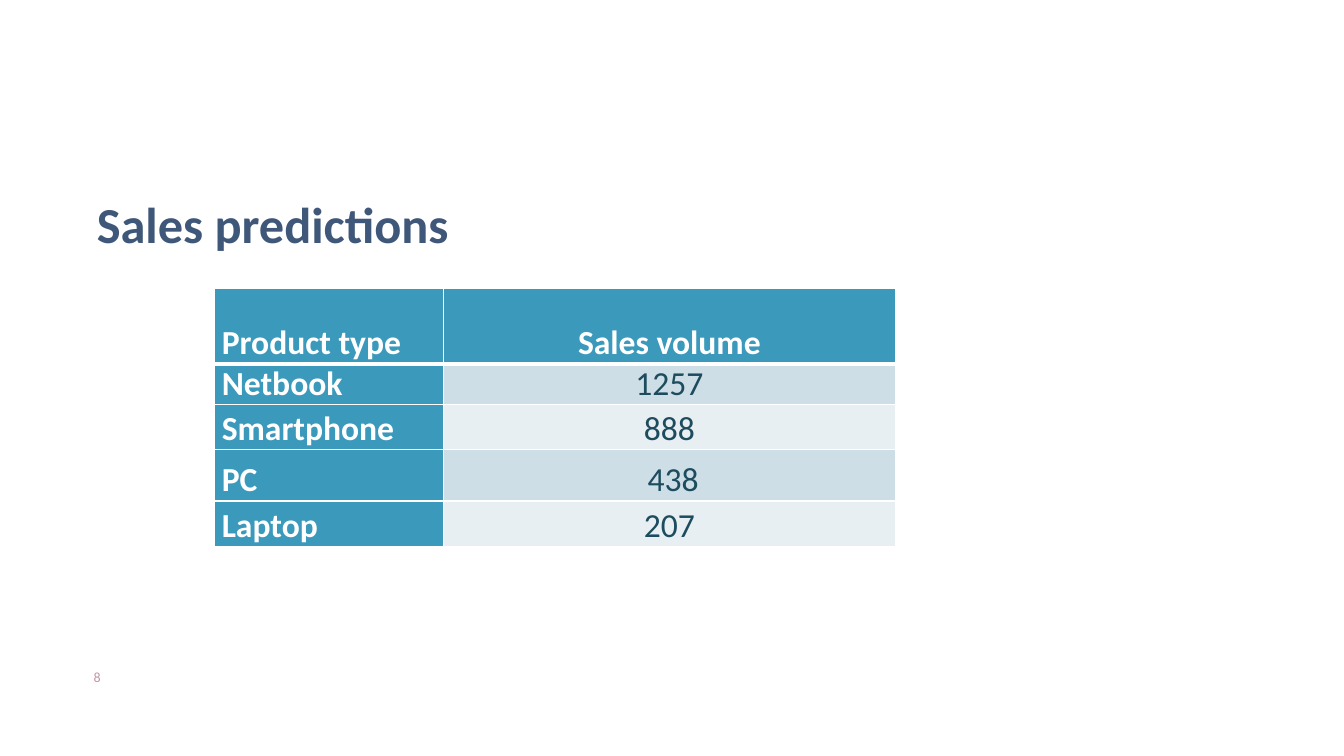
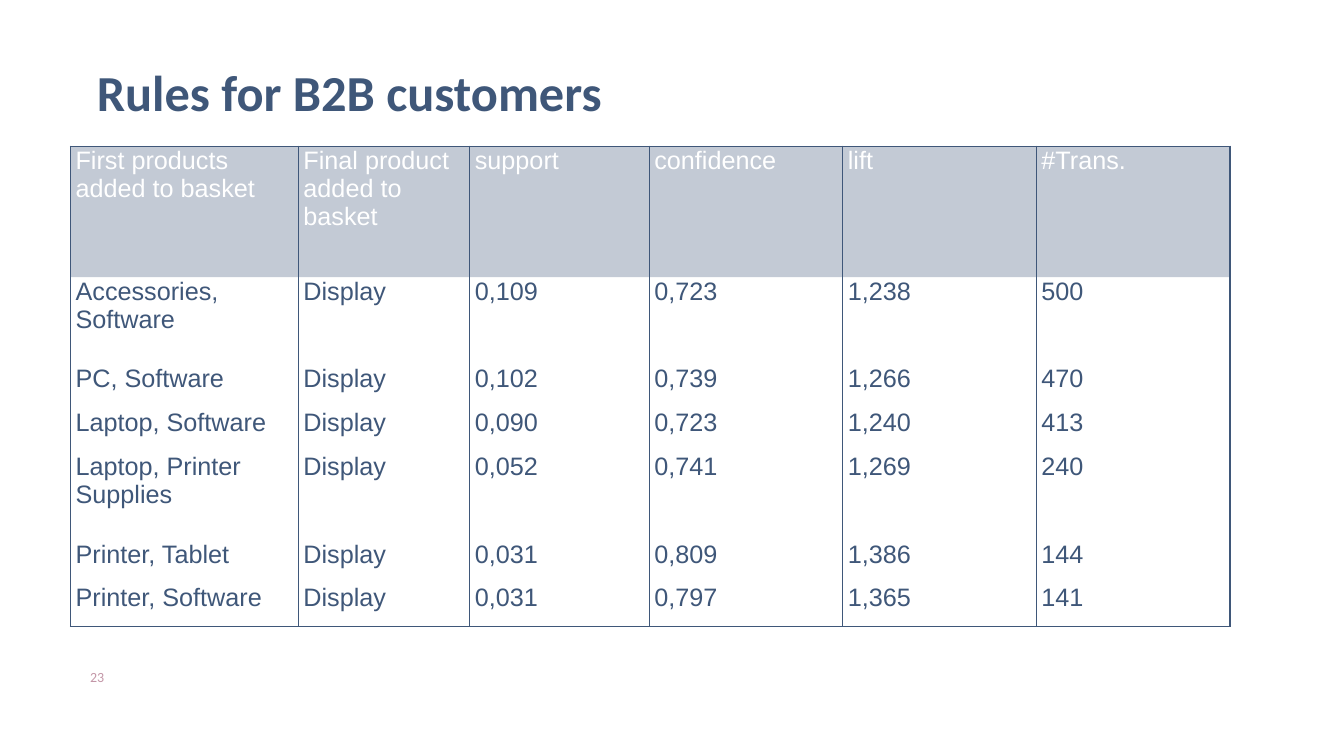
from collections.abc import Callable
from dataclasses import dataclass, field

from lxml.etree import SubElement
from pptx import Presentation
from pptx.dml.color import RGBColor
from pptx.enum.text import MSO_ANCHOR as Anchor, MSO_AUTO_SIZE as AutoSize, PP_ALIGN as Align
from pptx.oxml.ns import qn
from pptx.util import Emu, Pt

PX_PER_INCH = 100
NO_TABLE_STYLE = "{2D5ABB26-0587-4C30-8999-92F81FD0307C}"


@dataclass(frozen=True)
class Theme:
    navy: str = "3F5779"
    rose: str = "C396A7"
    teal: str = "3B99BB"
    dark_teal: str = "1D4C5E"
    bands: tuple[str, str] = ("CEDEE7", "E8EFF3")
    white: str = "FFFFFF"
    heading_font: str = "Calibri"
    table_font: str = "Arial"
    title_size: int = 36
    sales_size: int = 24
    rules_size: int = 18
    number_size: int = 10


THEME = Theme()


@dataclass(frozen=True)
class CellStyle:
    """Borders map L, R, T, B to a colour and a width in points."""
    color: str
    fill: str | None = None
    opacity: int = 100
    bold: bool = False
    align: Align = Align.LEFT
    borders: dict[str, tuple[str, int]] = field(default_factory=dict)


@dataclass(frozen=True)
class TableData:
    left: int
    top: int
    widths: list[int]
    heights: list[int]
    inset: int
    anchor: Anchor
    font: str
    size: int
    rows: list[list[str]]
    style: Callable[[int, int], CellStyle]


@dataclass(frozen=True)
class Page:
    title: str
    title_height: int
    number: str
    table: TableData


def px(length: int) -> Emu:
    return Emu(length * 914400 // PX_PER_INCH)


def place(shape, left: int, top: int, width: int, height: int) -> None:
    shape.left, shape.top, shape.width, shape.height = map(px, (left, top, width, height))


def set_font(para, name: str, size: int, color: str, bold: bool = False) -> None:
    para.font.name = name
    para.font.size = Pt(size)
    para.font.bold = bold
    para.font.color.rgb = RGBColor.from_string(color)


def set_margins(target, left: int, right: int = 0) -> None:
    target.margin_left, target.margin_right = px(left), px(right)
    target.margin_top = target.margin_bottom = 0


def sales_style(row: int, column: int) -> CellStyle:
    thin = (THEME.white, 1)
    borders = dict.fromkeys("LRTB", thin)
    if row == 0:
        borders["B"] = (THEME.white, 3)
    elif row == 1:
        borders["T"] = (THEME.white, 3)
    align = Align.CENTER if column else Align.LEFT
    if row == 0 or column == 0:
        return CellStyle(THEME.white, THEME.teal, bold=True, align=align, borders=borders)
    return CellStyle(THEME.dark_teal, THEME.bands[(row - 1) % 2], align=align, borders=borders)


def rules_style(row: int, column: int) -> CellStyle:
    line = (THEME.navy, 1)
    if row == 0:
        return CellStyle(THEME.white, THEME.navy, opacity=31, borders=dict.fromkeys("LRT", line))
    sides = "LRB" if row == len(RULES) - 1 else "LR"
    return CellStyle(THEME.navy, borders=dict.fromkeys(sides, line))


def set_borders(cell, borders: dict[str, tuple[str, int]]) -> None:
    properties = cell._tc.get_or_add_tcPr()
    for side, (color, width) in borders.items():
        line = SubElement(properties, qn(f"a:ln{side}"), w=str(Pt(width)))
        solid = SubElement(line, qn("a:solidFill"))
        SubElement(solid, qn("a:srgbClr"), val=color)


def set_fill(cell, color: str | None, opacity: int) -> None:
    if color is None:
        cell.fill.background()
        return
    cell.fill.solid()
    cell.fill.fore_color.rgb = RGBColor.from_string(color)
    if opacity < 100:
        rgb = cell._tc.tcPr.find(f"{qn('a:solidFill')}/{qn('a:srgbClr')}")
        SubElement(rgb, qn("a:alpha"), val=str(opacity * 1000))


def add_table(slide, data: TableData) -> None:
    frame = slide.shapes.add_table(
        len(data.heights), len(data.widths), px(data.left), px(data.top),
        px(sum(data.widths)), px(sum(data.heights)))
    table = frame.table
    table.first_row = table.horz_banding = False
    table._tbl.tblPr.find(qn("a:tableStyleId")).text = NO_TABLE_STYLE
    for column, width in zip(table.columns, data.widths):
        column.width = px(width)
    for row, height in zip(table.rows, data.heights):
        row.height = px(height)
    for r, texts in enumerate(data.rows):
        for c, text in enumerate(texts):
            cell, style = table.cell(r, c), data.style(r, c)
            cell.text = text
            cell.vertical_anchor = data.anchor
            set_margins(cell, data.inset, data.inset)
            para = cell.text_frame.paragraphs[0]
            para.alignment = style.align
            set_font(para, data.font, data.size, style.color, style.bold)
            set_borders(cell, style.borders)
            set_fill(cell, style.fill, style.opacity)


def add_title(slide, text: str, height: int) -> None:
    title = slide.shapes.title
    place(title, 92, 6, 1014, height)
    frame = title.text_frame
    frame.text = text
    frame.auto_size = AutoSize.NONE
    frame.vertical_anchor = Anchor.BOTTOM
    set_margins(frame, 4)
    para = frame.paragraphs[0]
    para.alignment = Align.LEFT
    para.line_spacing = 0.9
    set_font(para, THEME.heading_font, THEME.title_size, THEME.navy, bold=True)


def add_page_number(slide, number: str) -> None:
    box = slide.shapes.add_textbox(px(70), px(663), px(43), px(26))
    frame = box.text_frame
    frame.word_wrap = True
    frame.text = number
    set_margins(frame, 10)
    para = frame.paragraphs[0]
    para.alignment = Align.CENTER
    set_font(para, THEME.heading_font, THEME.number_size, THEME.rose)


SALES = [
    ["Product type", "Sales volume"],
    ["Netbook", "1257"],
    ["Smartphone", "888"],
    ["PC", " 438"],
    ["Laptop", "207"],
]

RULES = [
    ["First products added to basket", "Final product added to basket",
     "support", "confidence", "lift", "#Trans."],
    ["Accessories, Software", "Display", "0,109", "0,723", "1,238", "500"],
    ["PC, Software", "Display", "0,102", "0,739", "1,266", "470"],
    ["Laptop, Software", "Display", "0,090", "0,723", "1,240", "413"],
    ["Laptop, Printer Supplies", "Display", "0,052", "0,741", "1,269", "240"],
    ["Printer, Tablet", "Display", "0,031", "0,809", "1,386", "144"],
    ["Printer, Software", "Display", "0,031", "0,797", "1,365", "141"],
]

PAGES = [
    Page("Sales predictions", 246, "8", TableData(
        left=213, top=286, widths=[227, 448], heights=[75, 40, 45, 51, 45],
        inset=7, anchor=Anchor.BOTTOM, font=THEME.heading_font, size=THEME.sales_size,
        rows=SALES, style=sales_style)),
    Page("Rules for B2B customers", 116, "23", TableData(
        left=70, top=145, widths=[226, 170, 178, 192, 192, 192],
        heights=[130, 87, 43, 44, 87, 43, 43],
        inset=5, anchor=Anchor.TOP, font=THEME.table_font, size=THEME.rules_size,
        rows=RULES, style=rules_style)),
]


def main() -> None:
    deck = Presentation()
    deck.slide_width, deck.slide_height = px(1333), px(750)
    title_only = deck.slide_layouts[5]
    for page in PAGES:
        slide = deck.slides.add_slide(title_only)
        add_title(slide, page.title, page.title_height)
        add_page_number(slide, page.number)
        add_table(slide, page.table)
    deck.save("out.pptx")


if __name__ == "__main__":
    main()
